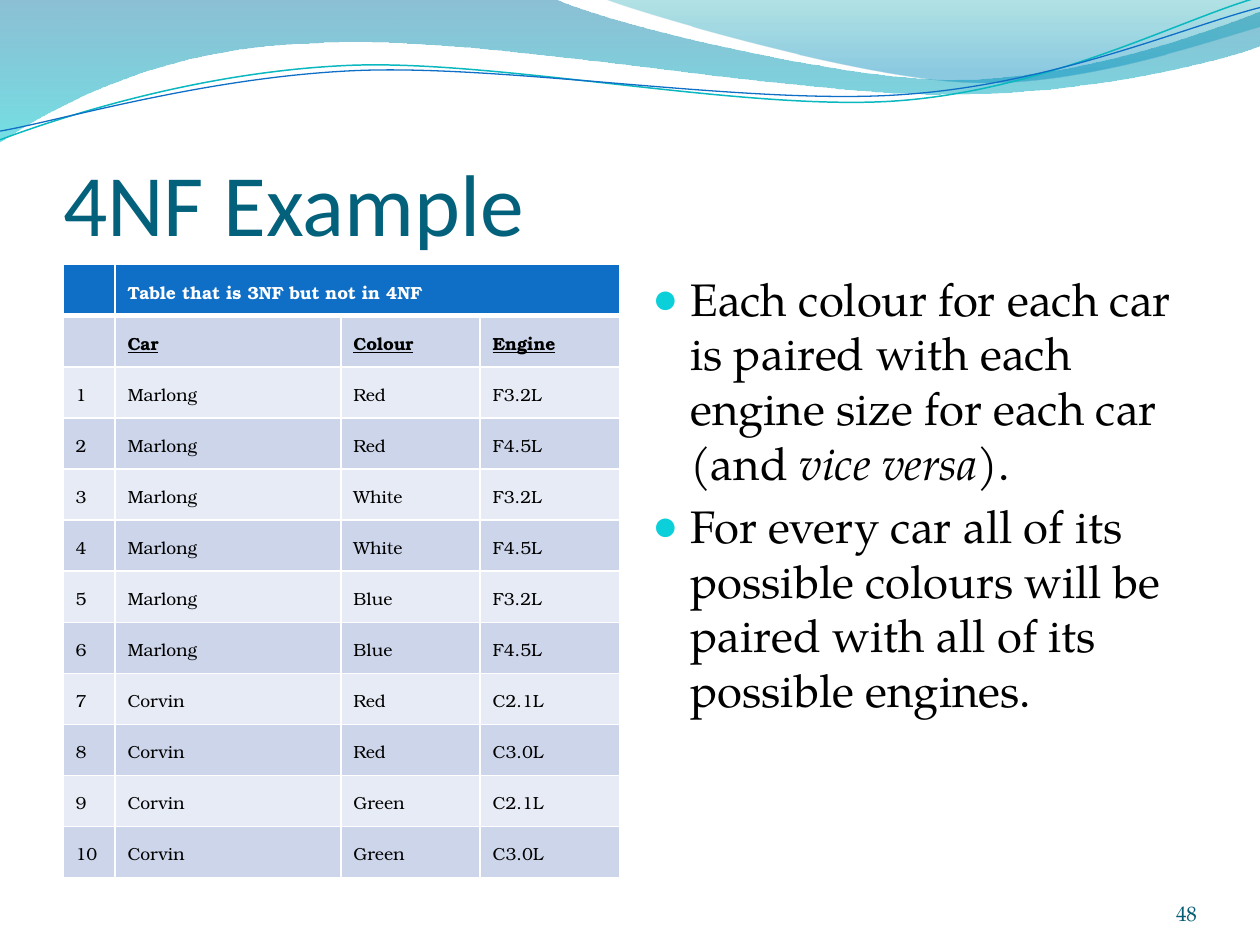
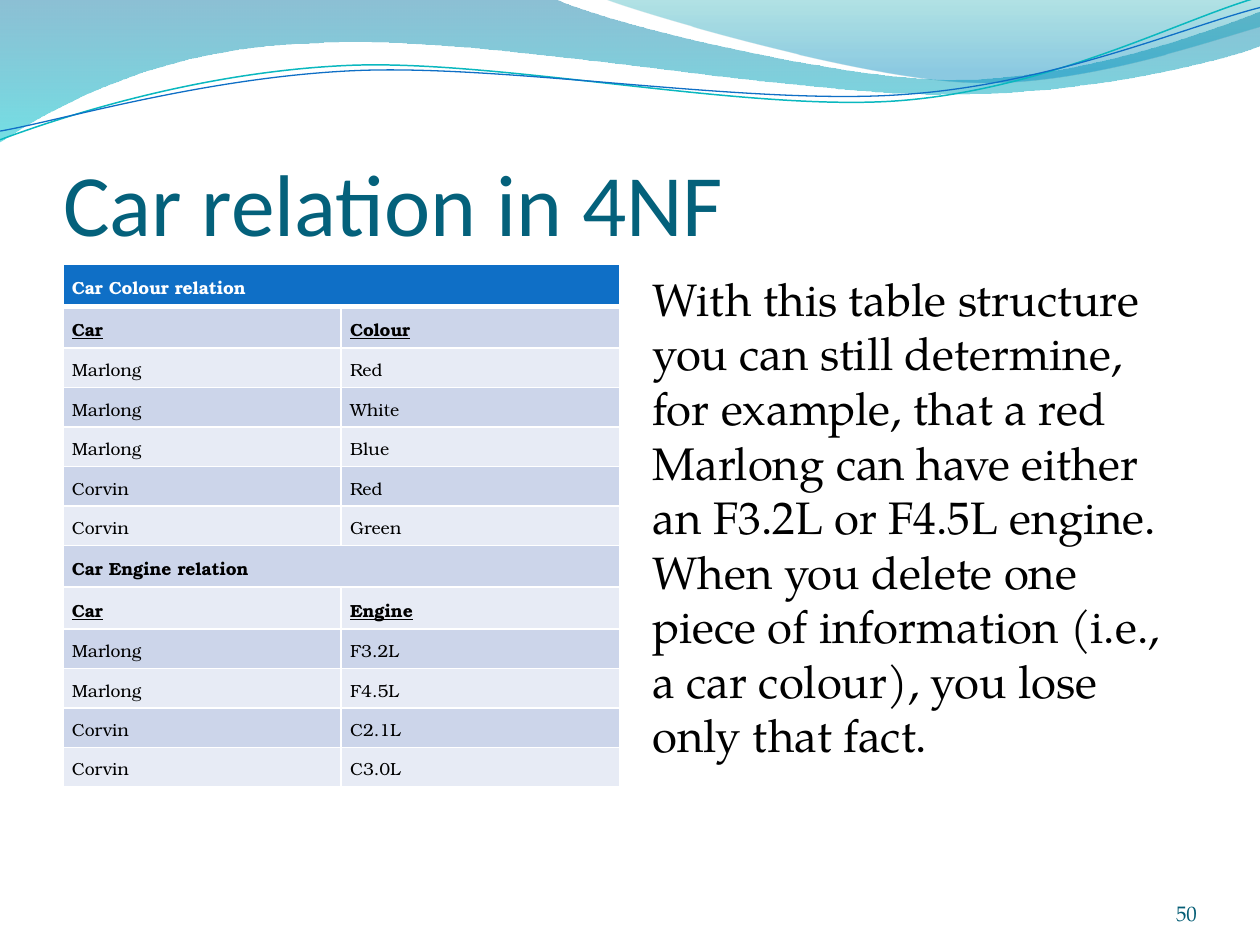
from pptx import Presentation
from pptx.dml.color import RGBColor
from pptx.enum.text import MSO_ANCHOR as Anchor, MSO_AUTO_SIZE as AutoSize, PP_ALIGN as Align
from pptx.oxml import parse_xml
from pptx.oxml.ns import nsdecls
from pptx.util import Pt

WHITE = RGBColor(0xFF, 0xFF, 0xFF)
BLACK = RGBColor(0, 0, 0)
TITLE_TEAL = RGBColor(0x04, 0x61, 0x7B)
NUMBER_TEAL = RGBColor(0x04, 0x5D, 0x75)
BULLET_CYAN = RGBColor(0x0B, 0xD0, 0xD9)
HEADER_BLUE = RGBColor(0x0F, 0x6F, 0xC6)
ROW_DARK = RGBColor(0xCC, 0xD5, 0xEA)
ROW_LIGHT = RGBColor(0xE7, 0xEB, 0xF5)
CURVE_TEAL = RGBColor(0x0A, 0xB8, 0xBF)
WAVE_NAVY = RGBColor(0x00, 0x74, 0xA1)
WAVE_AQUA = RGBColor(0x00, 0xC6, 0xCF)
WAVE_GREEN = RGBColor(0x00, 0xA1, 0xA9)
WAVE_SKY = RGBColor(0x00, 0x8B, 0xBF)

TITLE_FONT = {"name": "Calibri", "size": Pt(50), "color": TITLE_TEAL}
BODY_FONT = {"name": "TeX Gyre Pagella", "size": Pt(26), "color": BLACK}
NUMBER_FONT = {"name": "TeX Gyre Pagella", "size": Pt(12), "color": NUMBER_TEAL}
CELL_FONT = {"name": "TeX Gyre Bonum", "size": Pt(10), "color": BLACK}

TITLE_BOX = (36, 55, 648, 90)
TABLE_BOX = (36, 151.2, 318, 350)
BODY_BOX = (365.6, 151.2, 318.4, 349)
NUMBER_BOX = (624, 500.4, 60, 28.8)

WAVE_BANDS = [
    ((0, 0), [(316.8, -0.7), (342.7, 12.2, 478.1, 45.4, 545.8, 45.4),
              (614.2, 45.4, 689.8, 18.7, 720, 6.5), (720.7, 25.9),
              (707.8, 31.7, 626.4, 54.7, 537.1, 54), (446.4, 54, 275, 20.2, 185, 24.5),
              (92.9, 25.9, 33.1, 59.8, -0.7, 81.4), (0, 0)],
     [(0, WAVE_NAVY, 45), (100, WAVE_AQUA, 55)]),
    ((344.9, -0.7), [(366.5, 7.9, 491, 44.6, 553.7, 46.8),
                     (616.3, 49.7, 691.9, 23, 720, 15.1), (720, 0), (344.9, -0.7)],
     [(0, WAVE_GREEN, 30), (80, WAVE_SKY, 45)]),
]
WAVE_LINES = [
    ((0, 79.9), [(34.6, 67, 113.8, 41, 199.4, 37.4), (284.4, 33.8, 427, 64.1, 513.4, 57.6),
                 (599.8, 51.1, 675.4, 10.8, 718.6, -1.4)], CURVE_TEAL, 0.85),
    ((0, 74.9), [(33.8, 69.1, 118.1, 43.9, 203.8, 40.3), (290.2, 36.7, 429.8, 60.5, 516.2, 54),
                 (601.9, 48.2, 677.5, 15.1, 720, 4.3)], HEADER_BLUE, 0.75),
]

MIXED_ROWS = [
    ("", "Table that is 3NF but not in 4NF"),
    ("", "Car", "Colour", "Engine"),
    ("1", "Marlong", "Red", "F3.2L"),
    ("2", "Marlong", "Red", "F4.5L"),
    ("3", "Marlong", "White", "F3.2L"),
    ("4", "Marlong", "White", "F4.5L"),
    ("5", "Marlong", "Blue", "F3.2L"),
    ("6", "Marlong", "Blue", "F4.5L"),
    ("7", "Corvin", "Red", "C2.1L"),
    ("8", "Corvin", "Red", "C3.0L"),
    ("9", "Corvin", "Green", "C2.1L"),
    ("10", "Corvin", "Green", "C3.0L"),
]
SPLIT_ROWS = [
    ("Car Colour relation",),
    ("Car", "Colour"),
    ("Marlong", "Red"),
    ("Marlong", "White"),
    ("Marlong", "Blue"),
    ("Corvin", "Red"),
    ("Corvin", "Green"),
    ("Car Engine relation",),
    ("Car", "Engine"),
    ("Marlong", "F3.2L"),
    ("Marlong", "F4.5L"),
    ("Corvin", "C2.1L"),
    ("Corvin", "C3.0L"),
]
PAIRING_POINTS = [
    [("Each colour for each car is paired with each engine size for each car (and ", False),
     ("vice versa", True), (").", False)],
    [("For every car all of its possible colours will be paired with all of its possible engines.",
      False)],
]
SPLIT_NOTE = [
    [("With this table structure you can still determine, for example, that a red Marlong can have "
      "either an F3.2L or F4.5L engine. When you delete one piece of information (i.e., a car "
      "colour), you lose only that fact.", False)],
]


def fragment(tag, attributes="", content=""):
    return parse_xml(f'<a:{tag} {nsdecls("a")} {attributes}>{content}</a:{tag}>')


def color_xml(color, alpha=100):
    alpha_xml = f'<a:alpha val="{alpha * 1000}"/>' if alpha < 100 else ""
    return f'<a:srgbClr val="{color}">{alpha_xml}</a:srgbClr>'


def format_font(font, style):
    for key, value in style.items():
        if key == "color":
            font.color.rgb = value
        else:
            setattr(font, key, value)


def add_span(para, text, style):
    span = para.add_run()
    span.text = text
    format_font(span.font, style)


def place(shape, box):
    for key, value in zip(("left", "top", "width", "height"), box):
        setattr(shape, key, Pt(value))


def format_frame(frame, anchor, margins):
    settings = {"word_wrap": True, "auto_size": AutoSize.NONE, "vertical_anchor": anchor}
    sides = ("margin_left", "margin_top", "margin_right", "margin_bottom")
    settings.update(zip(sides, map(Pt, margins)))
    for key, value in settings.items():
        setattr(frame, key, value)


def add_curve(page, start, segments, close):
    builder = page.shapes.build_freeform(Pt(start[0]), Pt(start[1]))
    points = [(Pt(x), Pt(y)) for segment in segments for x, y in zip(segment[::2], segment[1::2])]
    builder.add_line_segments(points, close=close)
    shape = builder.convert_to_shape()
    shape.shadow.inherit = False
    shape.fill.background()
    corners = iter(shape.element.findall(".//{*}lnTo"))
    for segment in segments:
        group = [next(corners) for _ in segment[::2]]
        if len(group) == 3:
            bezier = fragment("cubicBezTo")
            group[0].addprevious(bezier)
            for corner in group:
                bezier.append(corner[0])
                corner.getparent().remove(corner)
    return shape


def add_waves(deck, page):
    waves = []
    for start, segments, stops in WAVE_BANDS:
        band = add_curve(page, start, segments, True)
        band.line.fill.background()
        stop_xml = "".join(f'<a:gs pos="{position * 1000}">{color_xml(color, alpha)}</a:gs>'
                           for position, color, alpha in stops)
        gradient = fragment("gradFill", 'rotWithShape="1"',
                            f'<a:gsLst>{stop_xml}</a:gsLst><a:lin ang="5400000" scaled="0"/>')
        properties = band.element.spPr
        properties.replace(properties.find("{*}noFill"), gradient)
        waves.append(band)
    for start, segments, color, width in WAVE_LINES:
        curve = add_curve(page, start, segments, False)
        curve.line.color.rgb = color
        curve.line.width = Pt(width)
        waves.append(curve)
    master_tree = deck.slide_master.element.cSld.spTree
    for index, wave in enumerate(waves, 2):
        master_tree.insert(index, wave.element)


def add_title(page, box, text):
    title = page.shapes.title
    place(title, box)
    format_frame(title.text_frame, Anchor.BOTTOM, (0, 3.6, 0, 0))
    para = title.text_frame.paragraphs[0]
    para.alignment = Align.LEFT
    add_span(para, text, TITLE_FONT)


def add_body(page, box, paragraphs, bulleted):
    body = page.placeholders[1]
    place(body, box)
    frame = body.text_frame
    format_frame(frame, Anchor.TOP, (7.2, 3.6, 7.2, 3.6))
    for index, spans in enumerate(paragraphs):
        para = frame.add_paragraph() if index else frame.paragraphs[0]
        indent = Pt(21.6) if bulleted else 0
        properties = para._p.get_or_add_pPr()
        properties.set("marL", str(indent))
        properties.set("indent", str(-indent))
        if bulleted:
            properties.append(fragment("buClr", content=color_xml(BULLET_CYAN)))
            properties.append(fragment("buSzPct", 'val="95000"'))
            properties.append(fragment("buChar", 'char="●"'))
        else:
            properties.append(fragment("buNone"))
        for text, italic in spans:
            add_span(para, text, {**BODY_FONT, "italic": italic})


def add_page_number(page, box, number):
    label = page.shapes.add_textbox(*map(Pt, box))
    format_frame(label.text_frame, Anchor.BOTTOM, (0, 0, 0, 0))
    para = label.text_frame.paragraphs[0]
    para.alignment = Align.RIGHT
    add_span(para, number, NUMBER_FONT)


def format_cell(cell, text, fill, style, side_margin, edges):
    cell.fill.solid()
    cell.fill.fore_color.rgb = fill
    cell.vertical_anchor = Anchor.MIDDLE
    cell.margin_left = cell.margin_right = Pt(side_margin)
    cell.margin_top = cell.margin_bottom = Pt(3.6)
    properties = cell._tc.get_or_add_tcPr()
    for index, (side, width) in enumerate(edges.items()):
        line = fragment("ln" + side, f'w="{Pt(width)}"',
                        f"<a:solidFill>{color_xml(WHITE)}</a:solidFill>")
        properties.insert(index, line)
    para = cell.text_frame.paragraphs[0]
    para.line_spacing = 1.15
    if text:
        add_span(para, text, style)
    else:
        para._p.get_or_add_endParaRPr().set("sz", "1000")


def add_relation_table(page, box, rows, widths, row_height, side_margin):
    left, top, width, _ = box
    count = len(widths)
    table = page.shapes.add_table(len(rows), count, Pt(left), Pt(top), Pt(width),
                                  Pt(row_height * len(rows))).table
    for column, column_width in zip(table.columns, widths):
        column.width = Pt(column_width)
    after_caption = False
    for r, texts in enumerate(rows):
        table.rows[r].height = Pt(row_height)
        caption = len(texts) < count
        fill = HEADER_BLUE if r == 0 else ROW_DARK if r % 2 else ROW_LIGHT
        style = {**CELL_FONT, "color": BLACK if r else WHITE,
                 "bold": caption or after_caption, "underline": after_caption}
        edges = {"L": 1, "R": 1, "T": 3 if r == 1 else 1, "B": 1 if r else 3}
        for c in range(count):
            text = texts[c] if c < len(texts) else ""
            format_cell(table.cell(r, c), text, fill, style, side_margin, edges)
        if caption:
            table.cell(r, len(texts) - 1).merge(table.cell(r, count - 1))
        after_caption = caption


def add_example_page(deck, title, number, paragraphs, bulleted, table):
    page = deck.slides.add_slide(deck.slide_layouts[1])
    add_title(page, TITLE_BOX, title)
    add_relation_table(page, TABLE_BOX, **table)
    add_body(page, BODY_BOX, paragraphs, bulleted)
    add_page_number(page, NUMBER_BOX, number)
    return page


def main():
    deck = Presentation()
    deck.slide_width, deck.slide_height = Pt(720), Pt(540)
    mixed = {"rows": MIXED_ROWS, "widths": (29.7, 129.1, 79.6, 79.6),
             "row_height": 29.2, "side_margin": 7.2}
    split = {"rows": SPLIT_ROWS, "widths": (159, 159), "row_height": 20.2, "side_margin": 5.1}
    page = add_example_page(deck, "4NF Example", "48", PAIRING_POINTS, True, mixed)
    add_waves(deck, page)
    add_example_page(deck, "Car relation in 4NF", "50", SPLIT_NOTE, False, split)
    deck.save("out.pptx")


if __name__ == "__main__":
    main()
